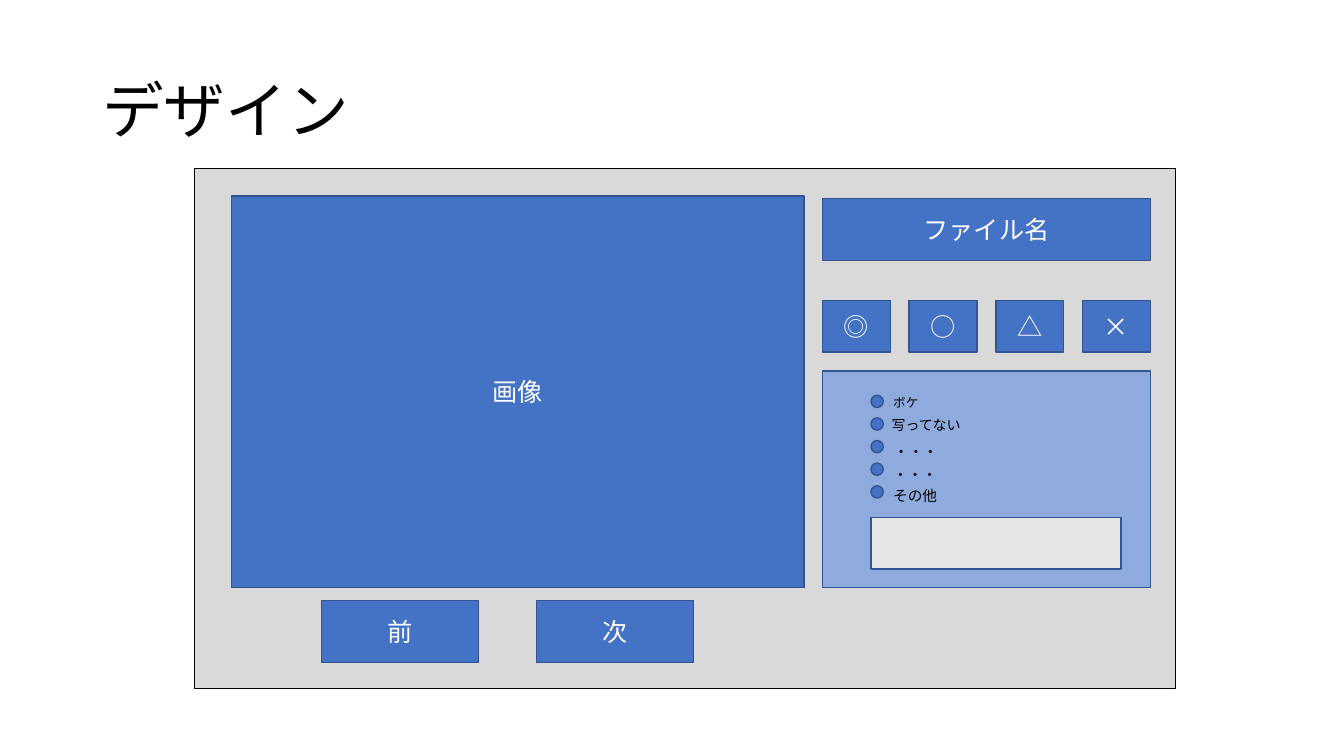
from pptx import Presentation
from pptx.dml.color import RGBColor
from pptx.enum.shapes import MSO_SHAPE
from pptx.enum.text import MSO_ANCHOR, MSO_AUTO_SIZE, PP_ALIGN
from pptx.oxml.ns import qn
from pptx.util import Cm, Pt
from lxml import etree

RECT, OVAL = MSO_SHAPE.RECTANGLE, MSO_SHAPE.OVAL
MIDDLE, TOP = MSO_ANCHOR.MIDDLE, MSO_ANCHOR.TOP
LEFT, CENTER = PP_ALIGN.LEFT, PP_ALIGN.CENTER
FIT_SHAPE, FIXED = MSO_AUTO_SIZE.SHAPE_TO_FIT_TEXT, MSO_AUTO_SIZE.NONE

BLACK = RGBColor(0x00, 0x00, 0x00)
WHITE = RGBColor(0xFF, 0xFF, 0xFF)
GRAY = RGBColor(0xD9, 0xD9, 0xD9)
PALE_GRAY = RGBColor(0xE7, 0xE6, 0xE6)
BLUE = RGBColor(0x44, 0x72, 0xC4)
LIGHT_BLUE = RGBColor(0x8F, 0xAA, 0xDC)
DARK_BLUE = RGBColor(0x32, 0x54, 0x91)


class Mockup:
    """Draws the parts of a screen mockup on one slide in a shared style."""

    font_name = "Noto Sans CJK JP"

    def __init__(self, slide):
        self.slide = slide

    def set_text(self, frame, text, size, color, align, anchor):
        frame.word_wrap = True
        frame.vertical_anchor = anchor
        paragraph = frame.paragraphs[0]
        paragraph.text = text
        paragraph.alignment = align
        font = paragraph.font
        font.size = Pt(size)
        font.color.rgb = color
        font.name = self.font_name
        properties = paragraph._p.pPr.find(qn("a:defRPr"))
        etree.SubElement(properties, qn("a:ea")).set("typeface", self.font_name)
        return paragraph

    def box(self, x, y, width, height, fill=BLUE, line=DARK_BLUE, kind=RECT):
        shape = self.slide.shapes.add_shape(kind, Cm(x), Cm(y), Cm(width), Cm(height))
        shape.shadow.inherit = False
        shape.fill.solid()
        shape.fill.fore_color.rgb = fill
        shape.line.color.rgb = line
        shape.line.width = Pt(1)
        return shape

    def button(self, text, x, y, width, height):
        shape = self.box(x, y, width, height)
        self.set_text(shape.text_frame, text, 18, WHITE, CENTER, MIDDLE)

    def label(self, text, x, y, width, height, size, anchor=TOP, fit=FIT_SHAPE):
        frame = self.slide.shapes.add_textbox(Cm(x), Cm(y), Cm(width), Cm(height)).text_frame
        frame.auto_size = fit
        return self.set_text(frame, text, size, BLACK, LEFT, anchor)


presentation = Presentation()
presentation.slide_width = Cm(33.87)
presentation.slide_height = Cm(19.05)
mockup = Mockup(presentation.slides.add_slide(presentation.slide_layouts[6]))

heading = mockup.label("デザイン", 2.33, 1.01, 29.21, 3.68, 44, MIDDLE, FIXED)
heading.line_spacing = 0.9

mockup.box(4.91, 4.25, 24.71, 13.1, GRAY, BLACK)
mockup.button("画像", 5.83, 4.94, 14.43, 9.86)
for caption, x in (("前", 8.1), ("次", 13.52)):
    mockup.button(caption, x, 15.13, 3.96, 1.56)

SIDE_X, SIDE_WIDTH = 20.73, 8.26
RATINGS, RATING_WIDTH = "◎○△×", 1.71
rating_step = (SIDE_WIDTH - RATING_WIDTH) / (len(RATINGS) - 1)
mockup.button("ファイル名", SIDE_X, 5.01, SIDE_WIDTH, 1.56)
for index, rating in enumerate(RATINGS):
    mockup.button(rating, SIDE_X + index * rating_step, 7.57, RATING_WIDTH, 1.3)

OPTION_X, OPTION_Y, OPTION_STEP, DOT = 21.95, 9.96, 0.57, 0.31
mockup.box(SIDE_X, 9.35, SIDE_WIDTH, 5.46, LIGHT_BLUE)
mockup.box(OPTION_X, 13.04, 6.3, 1.3, PALE_GRAY)
reasons = (
    ("ボケ", 22.26, 9.83, 9),
    ("写ってない", 22.22, 10.37, 10),
    ("・・・", 22.28, 11.04, 10.5),
    ("・・・", 22.26, 11.62, 10.5),
    ("その他", 22.26, 12.15, 10.5),
)
for index, (reason, x, y, size) in enumerate(reasons):
    mockup.box(OPTION_X, OPTION_Y + index * OPTION_STEP, DOT, DOT, kind=OVAL)
    mockup.label(reason, x, y, 2.39, 0.7, size)

presentation.save("out.pptx")
